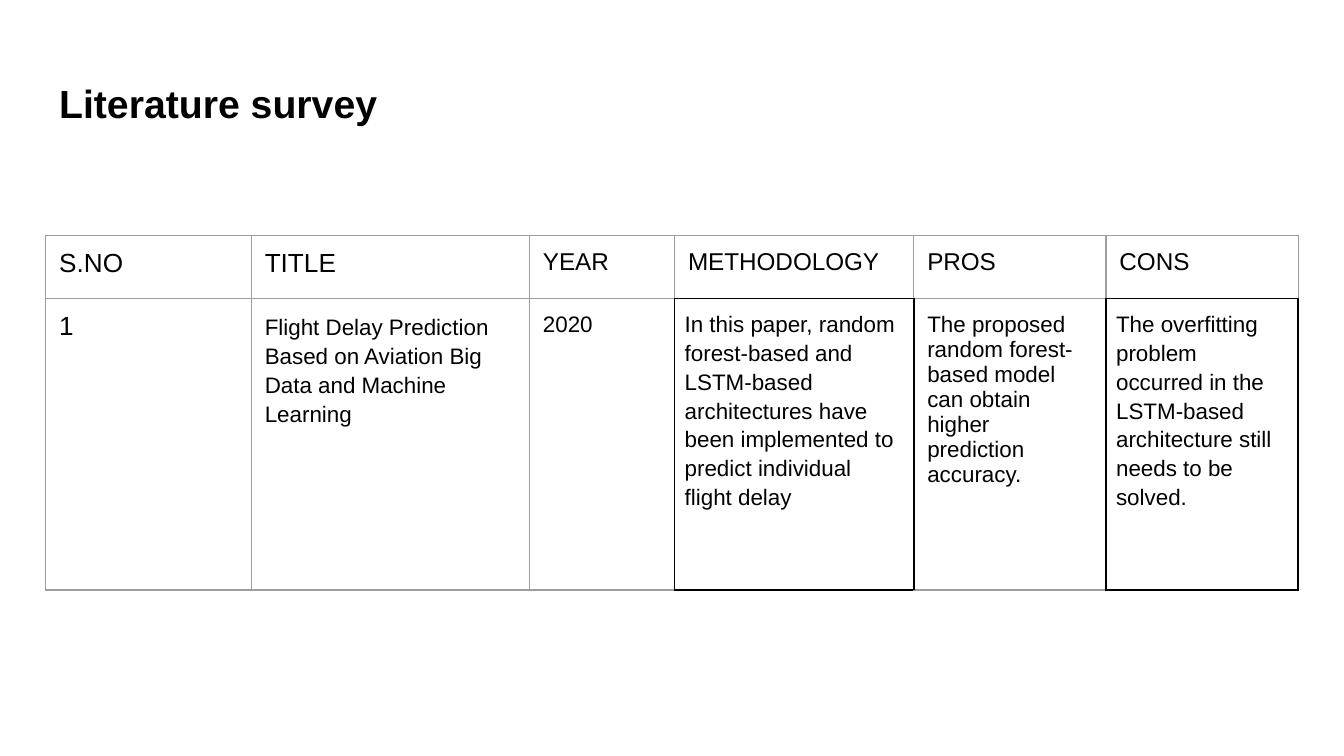
from pptx import Presentation
from pptx.dml.color import RGBColor
from pptx.enum import text
from pptx.oxml import parse_xml
from pptx.oxml.ns import nsdecls
from pptx.util import Inches, Pt

BLACK = RGBColor(0, 0, 0)
GREY = RGBColor(0x9E, 0x9E, 0x9E)
FONT = "Arial"
MARGIN = Inches(0.1)
BOXED_MARGIN = Pt(5.4)

TITLE = "Literature survey"
COLUMN_WIDTHS = [1.53, 2.07, 1.08, 1.78, 1.43, 1.43]
ROW_HEIGHTS = [0.47, 2.17]
# Each cell: wording, font size
ROWS = [
    [("S.NO", 14), ("TITLE", 14), ("YEAR", 13),
     ("METHODOLOGY", 13), ("PROS", 13), ("CONS", 13)],
    [("1", 14),
     ("Flight Delay Prediction Based on Aviation Big Data and Machine Learning", 12),
     ("2020", 12),
     ("In this paper, random forest-based and LSTM-based architectures have "
      "been implemented to predict individual flight delay", 12),
     ("The proposed random forest-based model can obtain higher prediction accuracy.", 12),
     ("The overfitting problem occurred in the LSTM-based architecture still "
      "needs to be solved.", 12)],
]
SPACED_CELLS = {(1, 1), (1, 3), (1, 5)}
BOXED_CELLS = {(1, 3), (1, 5)}
# Border tag: offset of the neighbour that shares this edge
EDGES = {"lnL": (0, -1), "lnR": (0, 1), "lnT": (-1, 0), "lnB": (1, 0)}


def set_margins(target, margin):
    """Give a cell or text frame the same margin on all sides."""
    for side in ("left", "right", "top", "bottom"):
        setattr(target, f"margin_{side}", margin)


def style_font(font, size, bold=False):
    """Set the common typeface and colour with the given size."""
    font.name, font.size, font.bold = FONT, Pt(size), bold
    font.color.rgb = BLACK


def set_borders(cell, row, column):
    """Draw black edges around boxed cells and grey edges elsewhere."""
    properties = cell._tc.get_or_add_tcPr()
    for index, (tag, (down, across)) in enumerate(EDGES.items()):
        boxed = BOXED_CELLS & {(row, column), (row + down, column + across)}
        color, width = (BLACK, 1) if boxed else (GREY, 0.75)
        properties.insert(index, parse_xml(
            f'<a:{tag} {nsdecls("a")} w="{Pt(width)}"><a:solidFill>'
            f'<a:srgbClr val="{color}"/></a:solidFill></a:{tag}>'))


def fill_cell(cell, row, column, wording, size):
    """Write and format one table cell."""
    cell.text = wording
    cell.fill.background()
    set_margins(cell, BOXED_MARGIN if (row, column) in BOXED_CELLS else MARGIN)
    paragraph = cell.text_frame.paragraphs[0]
    style_font(paragraph.font, size)
    if (row, column) in SPACED_CELLS:
        paragraph.line_spacing = 1.15
        paragraph.space_before = Pt(12)
    set_borders(cell, row, column)


def add_title(slide):
    """Place the heading in the title placeholder."""
    title = slide.shapes.title
    title.left, title.top = Inches(0.34), Inches(0.49)
    title.width, title.height = Inches(9.32), Inches(0.63)
    frame = title.text_frame
    frame.text = TITLE
    frame.vertical_anchor = text.MSO_ANCHOR.TOP
    set_margins(frame, MARGIN)
    paragraph = frame.paragraphs[0]
    paragraph.alignment = text.PP_ALIGN.LEFT
    style_font(paragraph.font, 21, bold=True)


def add_survey_table(slide):
    """Build the table of surveyed papers."""
    table = slide.shapes.add_table(
        len(ROWS), len(COLUMN_WIDTHS), Inches(0.34), Inches(1.75),
        Inches(sum(COLUMN_WIDTHS)), Inches(sum(ROW_HEIGHTS))).table
    table.first_row = table.horz_banding = False
    for column, width in zip(table.columns, COLUMN_WIDTHS):
        column.width = Inches(width)
    for row, height in zip(table.rows, ROW_HEIGHTS):
        row.height = Inches(height)
    for row, cells in enumerate(ROWS):
        for column, (wording, size) in enumerate(cells):
            fill_cell(table.cell(row, column), row, column, wording, size)


presentation = Presentation()
presentation.slide_width = Inches(10)
presentation.slide_height = presentation.slide_width * 9 // 16
slide = presentation.slides.add_slide(presentation.slide_layouts[5])
add_title(slide)
add_survey_table(slide)
presentation.save("out.pptx")
